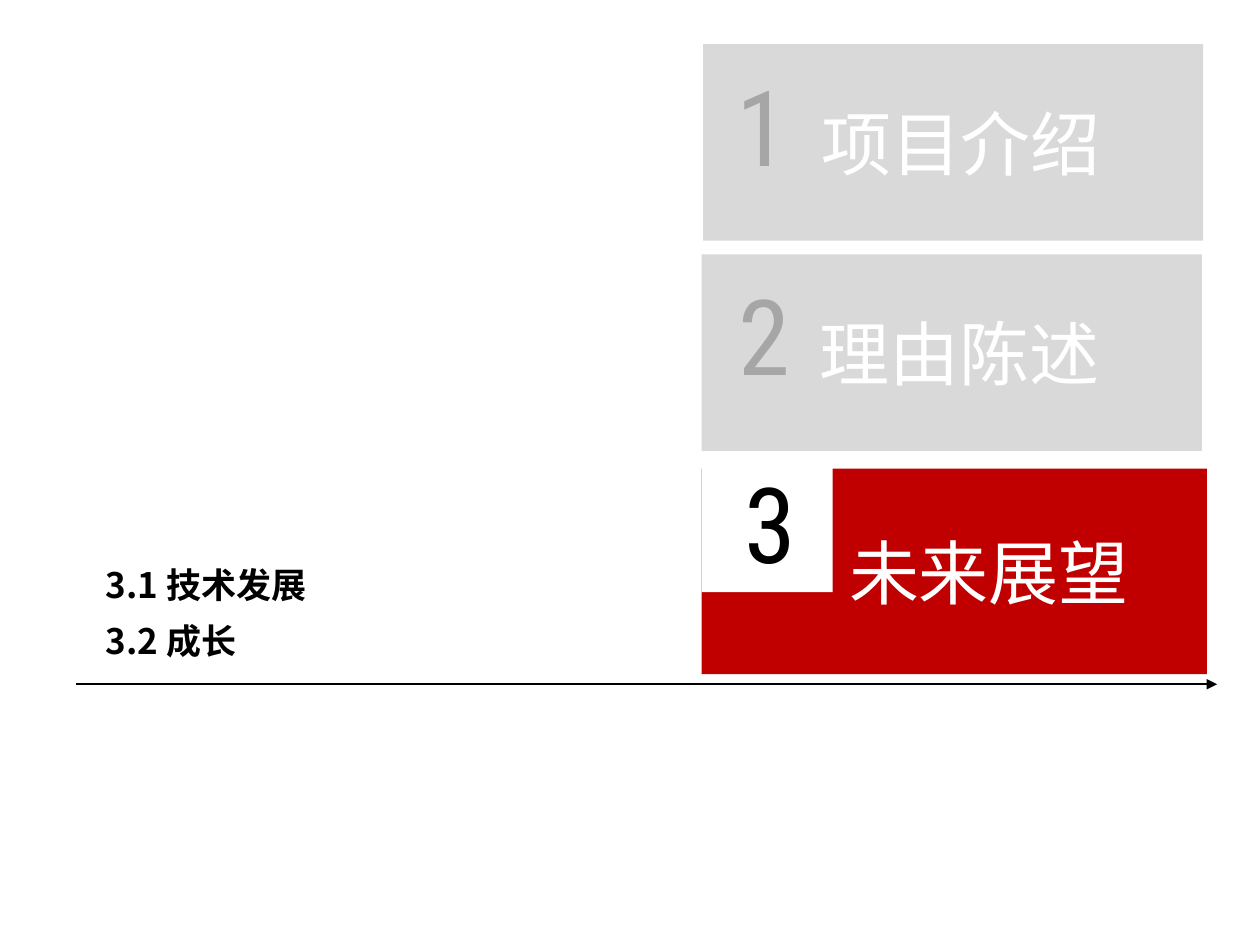
from lxml.etree import SubElement
from pptx import Presentation
from pptx.dml.color import RGBColor
from pptx.enum.shapes import MSO_CONNECTOR, MSO_SHAPE
from pptx.enum.text import MSO_ANCHOR, PP_ALIGN
from pptx.oxml.ns import qn
from pptx.util import Pt

COLORS = {"black": "000000", "white": "FFFFFF", "red": "C00000",
          "card": "D9D9D9", "number": "A6A6A6"}
CHINESE_FONT = "Noto Sans CJK SC"
NUMBER_FONT = "Roboto Condensed"

# Content: number, title, latin font, card position, number position
PAST_SECTIONS = [
    ("1", " 项目介绍", "Calibri", (401.8, 25.2), (414, 31.7)),
    ("2", " 理由陈述", CHINESE_FONT, (401, 145.4), (414.7, 151.2)),
]
CARD_SIZE = (285.8, 112.3)
NUMBER_SIZE = (49, 79.9)
CURRENT_NUMBER, CURRENT_TITLE = "3", "未来展望"
TOPICS = ["3.1 技术发展", "3.2 成长"]

presentation = Presentation()
presentation.slide_width, presentation.slide_height = Pt(720), Pt(540)
slide = presentation.slides.add_slide(presentation.slide_layouts[6])


def color(name):
    return RGBColor.from_string(COLORS[name])


def write(shape, lines, font, size, fill, bold=False, align=PP_ALIGN.LEFT,
          anchor=MSO_ANCHOR.TOP, gap=0):
    frame = shape.text_frame
    frame.word_wrap = True
    frame.vertical_anchor = anchor
    for index, line in enumerate(lines):
        paragraph = frame.add_paragraph() if index else frame.paragraphs[0]
        paragraph.alignment = align
        paragraph.space_before = paragraph.space_after = Pt(gap)
        run = paragraph.add_run()
        run.text = line
        run.font.name, run.font.size, run.font.bold = font, Pt(size), bold
        run.font.color.rgb = color(fill)
        SubElement(run._r.get_or_add_rPr(), qn("a:ea")).set("typeface", CHINESE_FONT)


def add_text(left, top, width, height, lines, **style):
    box = slide.shapes.add_textbox(Pt(left), Pt(top), Pt(width), Pt(height))
    write(box, lines, **style)
    return box


def add_block(left, top, width, height, fill):
    block = slide.shapes.add_shape(MSO_SHAPE.RECTANGLE, Pt(left), Pt(top), Pt(width), Pt(height))
    block.shadow.inherit = False
    block.fill.solid()
    block.fill.fore_color.rgb = color(fill)
    block.line.fill.background()
    return block


# Timeline arrow
arrow = slide.shapes.add_connector(MSO_CONNECTOR.STRAIGHT, Pt(43.2), Pt(391), Pt(695.5), Pt(391))
arrow.line.color.rgb = color("black")
arrow.line.width = Pt(1)
SubElement(arrow.line._get_or_add_ln(), qn("a:tailEnd")).set("type", "triangle")
SubElement(arrow._element.spPr, qn("a:effectLst"))

# Current section
add_block(401, 267.8, 288.7, 117.4, "red")
add_block(401, 265, 74.9, 73.4, "white")
add_text(478.1, 298.8, 192.2, 55.4, [CURRENT_TITLE], font=CHINESE_FONT, size=40, fill="white")
add_text(418.3, 258.5, 46.8, 79.9, [CURRENT_NUMBER], font=NUMBER_FONT, size=60, fill="black")

# Past sections
for number, title, font, card_position, number_position in PAST_SECTIONS:
    card = add_block(*card_position, *CARD_SIZE, "card")
    write(card, [title], font=font, size=40, fill="white",
          align=PP_ALIGN.CENTER, anchor=MSO_ANCHOR.MIDDLE)
    add_text(*number_position, *NUMBER_SIZE, [number], font=NUMBER_FONT, size=60, fill="number")

# Topics of the current section
topics = add_text(25.2, 318.2, 378, 200.9, TOPICS, font=CHINESE_FONT, size=20,
                  fill="black", bold=True, gap=4)
for paragraph in topics.text_frame.paragraphs:
    properties = paragraph._p.get_or_add_pPr()
    properties.set("marL", str(Pt(55.4)))
    properties.set("indent", str(Pt(-27.4)))

presentation.save("out.pptx")
